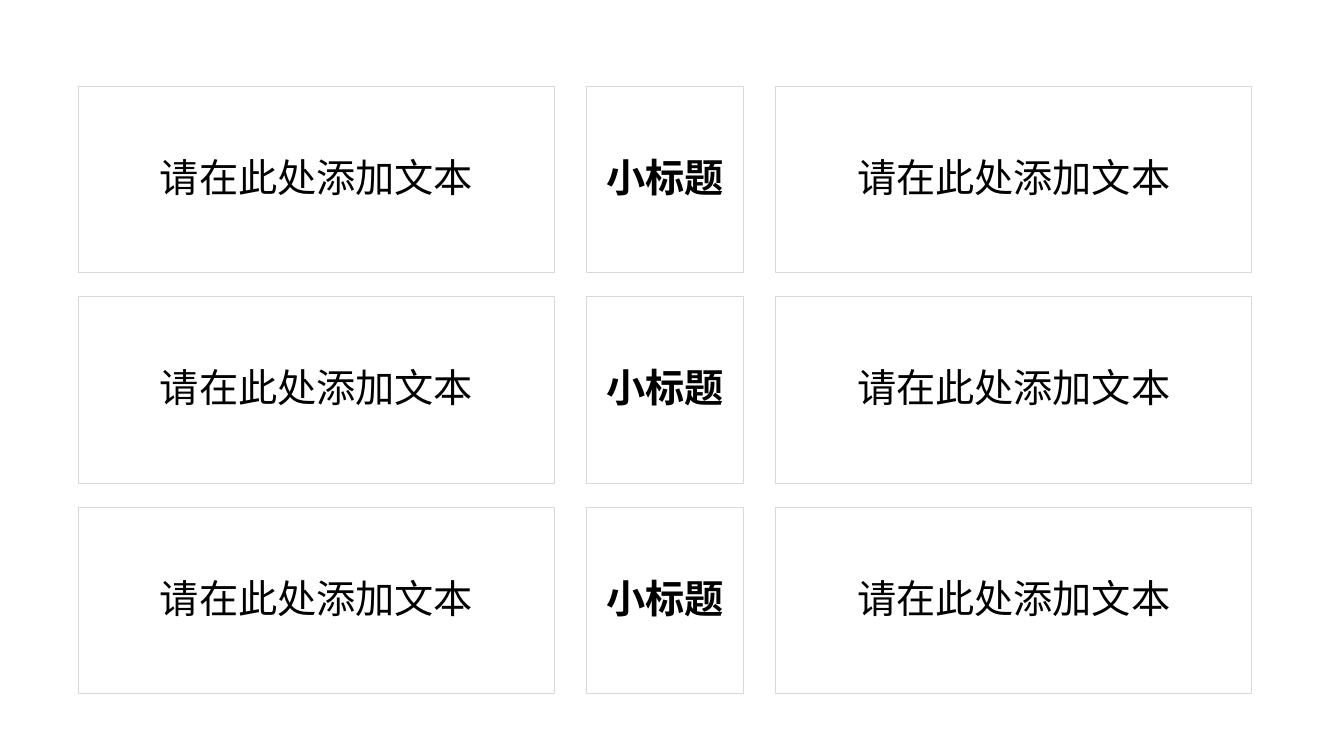
from pptx import Presentation
from pptx.dml.color import RGBColor
from pptx.enum import shapes, text
from pptx.util import Cm, Pt

ROWS = [
    ("请在此处添加文本", "小标题", "请在此处添加文本"),
    ("请在此处添加文本", "小标题", "请在此处添加文本"),
    ("请在此处添加文本", "小标题", "请在此处添加文本"),
]
COLUMN_WIDTHS = (Cm(11.99), Cm(3.96), Cm(11.99))
HEADING_COLUMN = 1

LEFT, TOP = Cm(1.98), Cm(2.18)
ROW_HEIGHT = Cm(4.7)
COLUMN_GAP, ROW_GAP = Cm(0.81), Cm(0.6)

BLACK = RGBColor(0x00, 0x00, 0x00)
BORDER_GRAY = RGBColor(0xD9, 0xD9, 0xD9)


def add_box(slide, left, top, width, height, words, bold):
    shape = slide.shapes.add_shape(
        shapes.MSO_SHAPE.RECTANGLE, left, top, width, height)
    shape.shadow.inherit = False
    shape.fill.background()
    shape.line.color.rgb = BORDER_GRAY
    shape.line.width = Pt(0.75)

    frame = shape.text_frame
    frame.word_wrap = True
    frame.vertical_anchor = text.MSO_ANCHOR.MIDDLE
    paragraph = frame.paragraphs[0]
    paragraph.text = words
    paragraph.alignment = text.PP_ALIGN.CENTER
    paragraph.line_spacing = 0.9
    paragraph.space_before = Pt(10)
    paragraph.font.name = "Calibri"
    paragraph.font.size = Pt(28)
    paragraph.font.bold = bold
    paragraph.font.color.rgb = BLACK


def main():
    presentation = Presentation()
    presentation.slide_width = Cm(33.87)
    presentation.slide_height = Cm(19.05)
    slide = presentation.slides.add_slide(presentation.slide_layouts[6])

    for row, cells in enumerate(ROWS):
        top = TOP + row * (ROW_HEIGHT + ROW_GAP)
        left = LEFT
        for column, (words, width) in enumerate(zip(cells, COLUMN_WIDTHS)):
            add_box(slide, left, top, width, ROW_HEIGHT, words,
                    bold=column == HEADING_COLUMN)
            left += width + COLUMN_GAP

    presentation.save("out.pptx")


if __name__ == "__main__":
    main()
